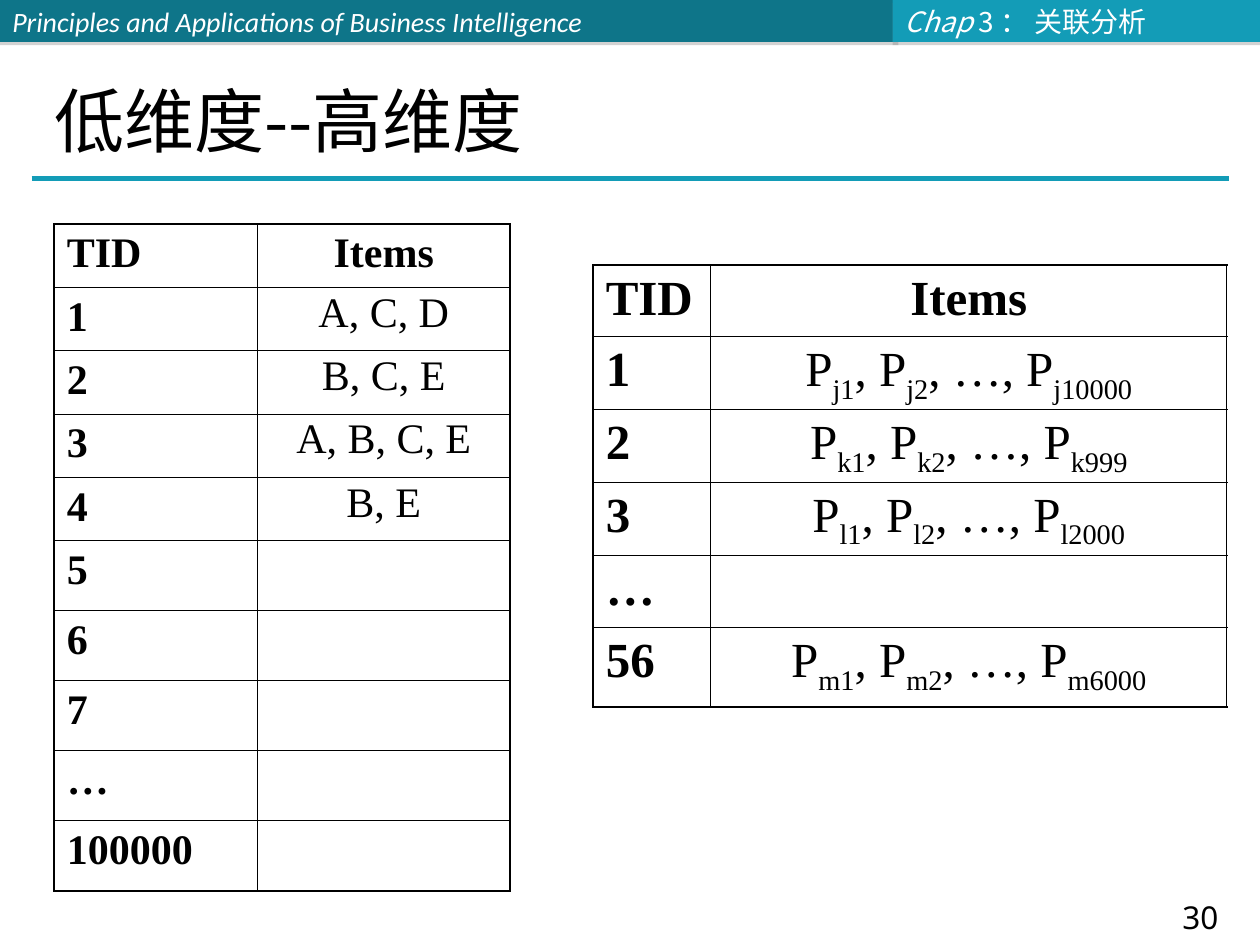
from lxml.etree import SubElement
from pptx import Presentation
from pptx.dml.color import RGBColor
from pptx.enum.shapes import MSO_CONNECTOR, MSO_SHAPE
from pptx.enum.text import MSO_ANCHOR, MSO_AUTO_SIZE, PP_ALIGN
from pptx.oxml import parse_xml
from pptx.oxml.ns import nsdecls, qn
from pptx.util import Pt

TITLE = "低维度--高维度"
CJK = "Noto Sans CJK SC"
SERIF = "Times New Roman"
BANDS = [
    dict(left=0, width=513.4, fill="0E7589",
         pieces=[("Principles and Applications of Business Intelligence", True)], font="Calibri"),
    dict(left=510, width=211.5, fill="139CB7",
         pieces=[("Chap ", True), ("3 ： 关联分析", False)], font=CJK),
]
TABLES = [
    dict(left=31, top=128, size=24, columns=[116, 144.6], heights=[36.2] * 5 + [40] * 5,
         rows=[("TID", "Items"), ("1", "A, C, D"), ("2", "B, C, E"), ("3", "A, B, C, E"),
               ("4", "B, E"), ("5", ""), ("6", ""), ("7", ""), ("…", ""), ("100000", "")]),
    dict(left=339, top=151.6, size=28, columns=[67.2, 294.8],
         heights=[40.6, 41.7, 41.7, 41.7, 41.2, 45.2],
         rows=[("TID", "Items"), ("1", "P{j1}, P{j2}, …, P{j10000}"),
               ("2", "P{k1}, P{k2}, …, P{k999}"), ("3", "P{l1}, P{l2}, …, P{l2000}"),
               ("…", ""), ("56", "P{m1}, P{m2}, …, P{m6000}")]),
]


def color(value):
    """Turn a hex string into a colour."""
    return RGBColor.from_string(value)


def add_text(para, text, size, font, fill="000000", bold=False, italic=False, baseline=0):
    """Add one formatted run to a paragraph."""
    span = para.add_run()
    span.text = text
    span.font.size, span.font.name = Pt(size), font
    span.font.bold, span.font.italic = bold, italic
    span.font.color.rgb = color(fill)
    properties = span._r.get_or_add_rPr()
    SubElement(properties, qn("a:ea")).set("typeface", font)
    if baseline:
        properties.set("baseline", str(baseline * 1000))


def add_band(page, left, width, fill, pieces, font):
    """Draw one header band with its caption and soft shadow."""
    box = page.shapes.add_shape(MSO_SHAPE.RECTANGLE, Pt(left), 0, Pt(width), Pt(24))
    box.fill.solid()
    box.fill.fore_color.rgb = color(fill)
    box.line.fill.background()
    box._element.spPr.append(parse_xml(
        f'<a:effectLst {nsdecls("a")}><a:outerShdw dist="22860" dir="5400000" rotWithShape="0">'
        '<a:srgbClr val="808080"><a:alpha val="35000"/></a:srgbClr></a:outerShdw></a:effectLst>'))
    frame = box.text_frame
    frame.word_wrap, frame.vertical_anchor = True, MSO_ANCHOR.MIDDLE
    para = frame.paragraphs[0]
    para.alignment = PP_ALIGN.LEFT
    for text, italic in pieces:
        add_text(para, text, 16, font, fill="FFFFFF", italic=italic)


def set_borders(cell, outer):
    """Rule a cell, with heavier lines on the sides that face outwards."""
    properties = cell._tc.get_or_add_tcPr()
    for side in "LRTB":
        width = Pt(1.08 if outer[side] else 0.45)
        properties.append(parse_xml(
            f'<a:ln{side} {nsdecls("a")} w="{width}"><a:solidFill>'
            f'<a:srgbClr val="000000"/></a:solidFill></a:ln{side}>'))
    cell.fill.background()


def fill_cell(cell, text, size, header, first):
    """Write a cell, with the parts in braces as subscripts."""
    para = cell.text_frame.paragraphs[0]
    if not first:
        para.alignment = PP_ALIGN.CENTER
        if not header:
            para.line_spacing = 0.9
    for index, part in enumerate(text.replace("}", "{").split("{")):
        if part:
            add_text(para, part, size, SERIF, bold=header or first, baseline=-25 * (index % 2))


def add_transactions(page, left, top, size, columns, heights, rows):
    """Build one table of transactions."""
    table = page.shapes.add_table(len(rows), len(columns), Pt(left), Pt(top),
                                  Pt(sum(columns)), Pt(sum(heights))).table
    for column, width in zip(table.columns, columns):
        column.width = Pt(width)
    for r, (row, height) in enumerate(zip(rows, heights)):
        table.rows[r].height = Pt(height)
        for c, text in enumerate(row):
            cell = table.cell(r, c)
            set_borders(cell, {"L": c == 0, "R": c == len(columns) - 1,
                               "T": r == 0, "B": r == len(rows) - 1})
            fill_cell(cell, text, size, header=r == 0, first=c == 0)


def main():
    """Build the slide and save it."""
    deck = Presentation()
    deck.slide_width, deck.slide_height = Pt(720), Pt(540)
    page = deck.slides.add_slide(deck.slide_layouts[5])
    for band in BANDS:
        add_band(page, **band)

    number = page.shapes.add_textbox(Pt(650), Pt(511), Pt(72), Pt(27.4))
    number.text_frame.word_wrap = True
    para = number.text_frame.paragraphs[0]
    para.alignment, para.line_spacing = PP_ALIGN.CENTER, Pt(20)
    add_text(para, "30", 18, "Noto Sans")

    rule = page.shapes.add_connector(MSO_CONNECTOR.STRAIGHT, Pt(18), Pt(102), Pt(702), Pt(102))
    rule.line.color.rgb, rule.line.width = color("139CB7"), Pt(3)
    SubElement(rule._element.spPr, qn("a:effectLst"))

    title = page.shapes.title
    title.left, title.top, title.width, title.height = Pt(24), Pt(24), Pt(672), Pt(72)
    frame = title.text_frame
    frame.auto_size, frame.vertical_anchor = MSO_AUTO_SIZE.NONE, MSO_ANCHOR.BOTTOM
    frame.paragraphs[0].alignment = PP_ALIGN.LEFT
    add_text(frame.paragraphs[0], TITLE, 40, CJK)

    for table in TABLES:
        add_transactions(page, **table)
    deck.save("out.pptx")


if __name__ == "__main__":
    main()
